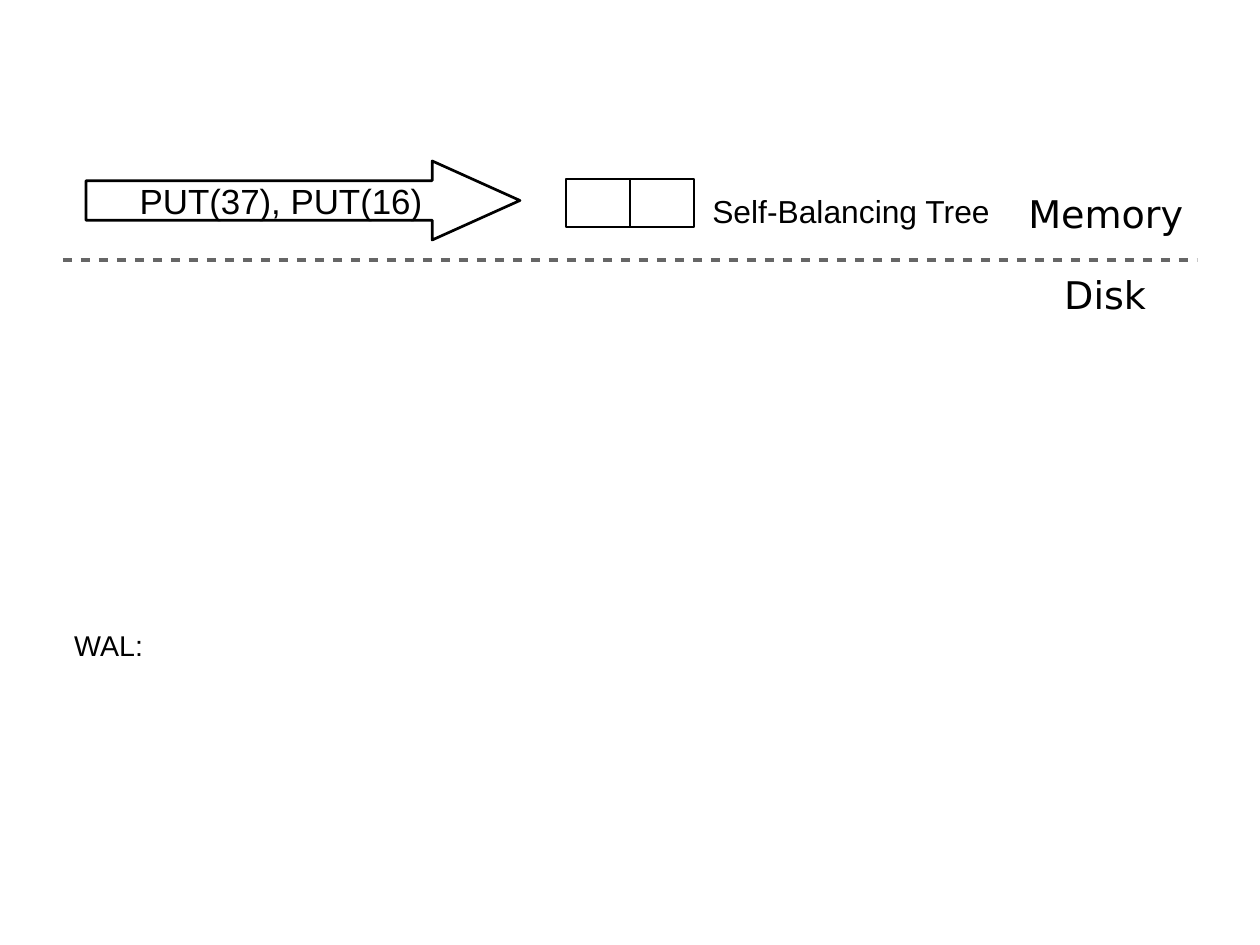
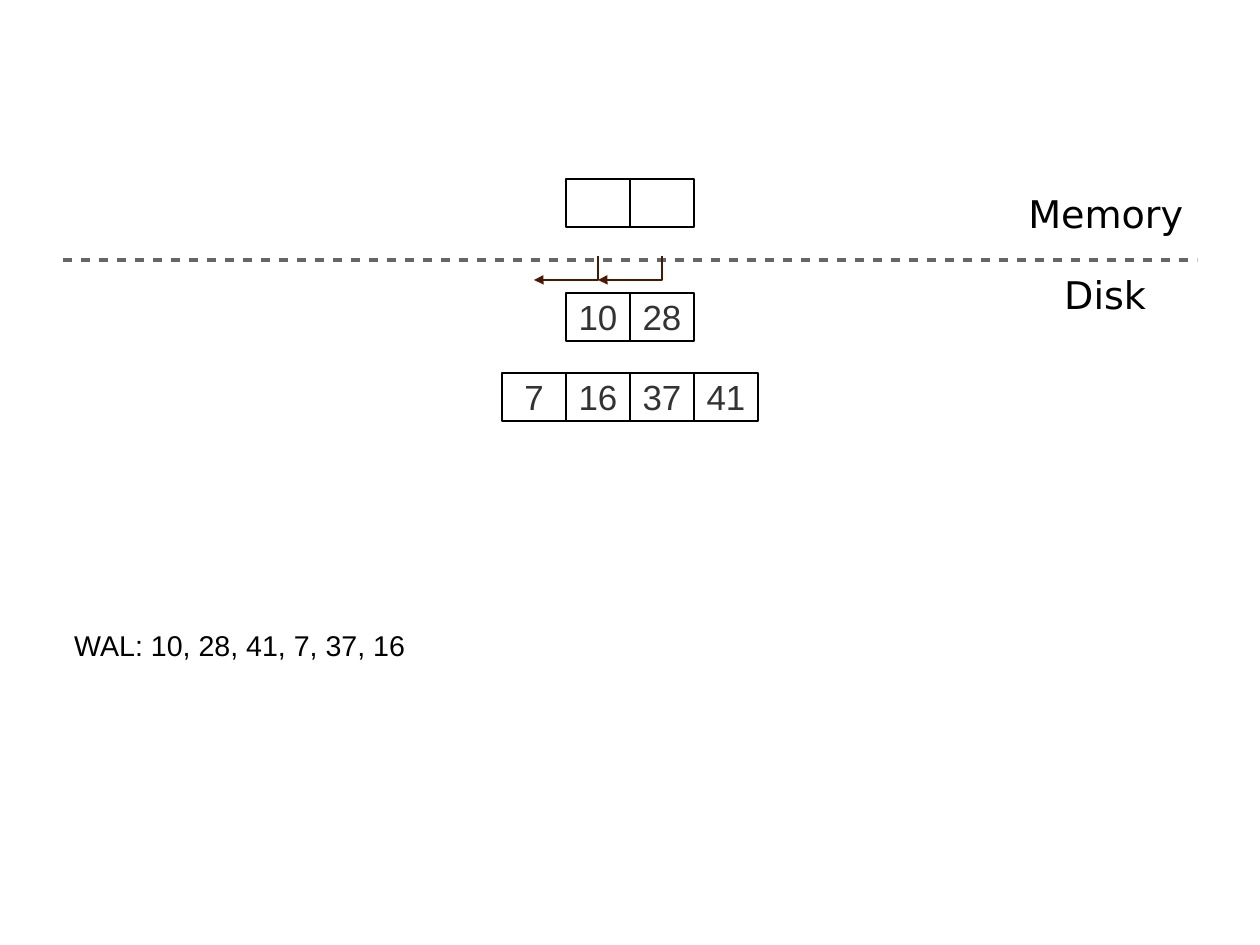
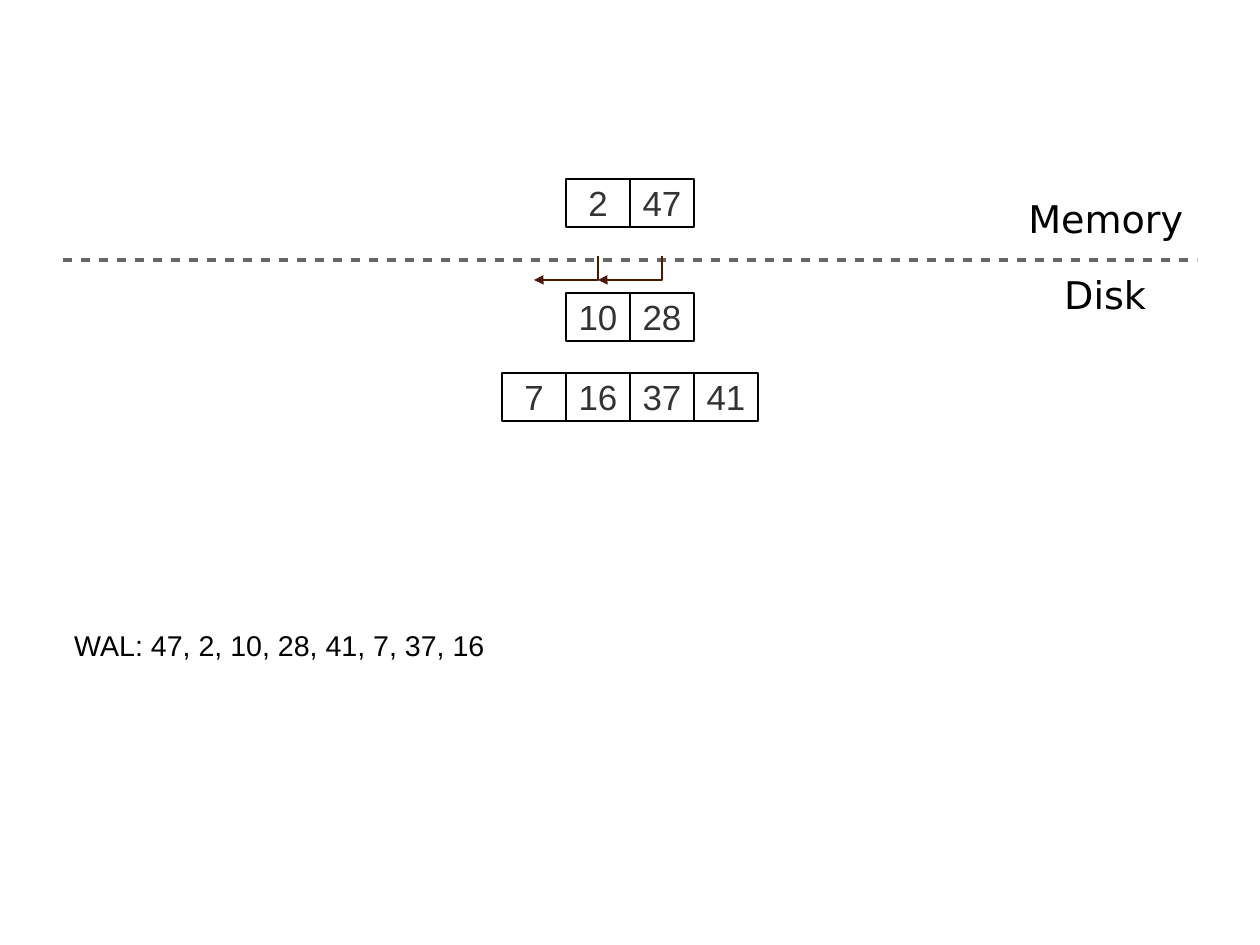
from lxml import etree
from pptx import Presentation
from pptx import util as u
from pptx.dml.color import RGBColor
from pptx.enum import shapes, text
from pptx.oxml.ns import qn

PX = 8000  # EMU per px
BLACK = RGBColor(0x00, 0x00, 0x00)
KEY_GRAY = RGBColor(0x33, 0x33, 0x33)
DIVIDER_GRAY = RGBColor(0x66, 0x66, 0x66)
POINTER_BROWN = RGBColor(0x4C, 0x19, 0x00)

CENTER_X, CELL_W, CELL_H = 630, 64, 48
LEVEL_TOPS = [179, 293, 373]
DISK_LEVELS = [["10", "28"], ["7", "16", "37", "41"]]

# Per slide: keys of each level, log line, top of the memory label, put arrow
STATES = [
    ([["", ""]], "WAL:", 185, True),
    ([["", ""], *DISK_LEVELS], "WAL: 10, 28, 41, 7, 37, 16", 185, False),
    ([["2", "47"], *DISK_LEVELS], "WAL: 47, 2, 10, 28, 41, 7, 37, 16", 190, False),
]


def add_words(slide, words, left, top, width, height, size=22, font="Arial",
              color=BLACK, outline=None, wrap=False):
    """Add a text box, or an outlined preset shape with centred text."""
    area = [n * PX for n in (left, top, width, height)]
    if outline is None:
        box = slide.shapes.add_textbox(*area)
    else:
        box = slide.shapes.add_shape(outline, *area)
        box.shadow.inherit = False
        box.fill.background()
        box.line.color.rgb = BLACK
        box.line.width = u.Pt(1.7)
    frame = box.text_frame
    frame.word_wrap = wrap
    if outline is None:
        frame.auto_size = text.MSO_AUTO_SIZE.SHAPE_TO_FIT_TEXT
    else:
        frame.vertical_anchor = text.MSO_ANCHOR.MIDDLE
        frame.margin_left = frame.margin_right = 13 * PX
        frame.margin_top = frame.margin_bottom = 7 * PX
    if words:
        paragraph = frame.paragraphs[0]
        paragraph.alignment = text.PP_ALIGN.LEFT if outline is None else text.PP_ALIGN.CENTER
        run = paragraph.add_run()
        run.text = words
        run.font.size = u.Pt(size)
        run.font.name = font
        run.font.color.rgb = color
    return box


def add_line(slide, kind, x1, y1, x2, y2, color, width):
    """Add a connector without shadow; return it and its a:ln element."""
    line = slide.shapes.add_connector(kind, x1 * PX, y1 * PX, x2 * PX, y2 * PX)
    line.line.color.rgb = color
    line.line.width = u.Pt(width)
    properties = line._element.spPr
    etree.SubElement(properties, qn("a:effectLst"))
    return line, properties.find(qn("a:ln"))


prs = Presentation()
prs.slide_width, prs.slide_height = 1260 * PX, 945 * PX

for levels, log, memory_top, has_put in STATES:
    slide = prs.slides.add_slide(prs.slide_layouts[6])

    # Border between memory and disk
    divider, stroke = add_line(slide, shapes.MSO_CONNECTOR.STRAIGHT,
                               63, 260, 1197, 260, DIVIDER_GRAY, 2.83)
    dashes = etree.SubElement(stroke, qn("a:custDash"))
    etree.SubElement(dashes, qn("a:ds"), d="200000", sp="200000")

    # Labels
    add_words(slide, log, 63, 622, 1080, 58, size=18, wrap=True)
    add_words(slide, "Memory", 1017, memory_top, 194, 77, size=24, font="DejaVu Sans")
    add_words(slide, "Disk", 1053, 266, 115, 77, size=24, font="DejaVu Sans")

    # Incoming writes
    if has_put:
        add_words(slide, "Self-Balancing Tree", 701, 186, 330, 63, size=20)
        put = add_words(slide, "PUT(37), PUT(16)", 86, 161, 434, 79,
                        outline=shapes.MSO_SHAPE.RIGHT_ARROW)
        put.adjustments[0], put.adjustments[1] = 0.5, 1.11

    # Levels of keys, centred on one axis
    for top, keys in zip(LEVEL_TOPS, levels):
        first = CENTER_X - len(keys) * CELL_W // 2
        for column, key in enumerate(keys):
            add_words(slide, key, first + column * CELL_W, top, CELL_W, CELL_H,
                      color=KEY_GRAY, outline=shapes.MSO_SHAPE.RECTANGLE)

    # Pointers down and left: an elbow 24 by 64, turned by 90 degrees
    if len(levels) > 1:
        for left in (554, 554 + CELL_W):
            pointer, stroke = add_line(slide, shapes.MSO_CONNECTOR.ELBOW,
                                       left, 236, left + 24, 236 + CELL_W,
                                       POINTER_BROWN, 1.42)
            etree.SubElement(stroke, qn("a:tailEnd"), type="triangle")
            properties = pointer._element.spPr
            properties.find(qn("a:xfrm")).set("rot", "5400000")
            bend = properties.find(qn("a:prstGeom")).find(qn("a:avLst"))
            etree.SubElement(bend, qn("a:gd"), name="adj1", fmla="val 99300")

prs.save("out.pptx")
